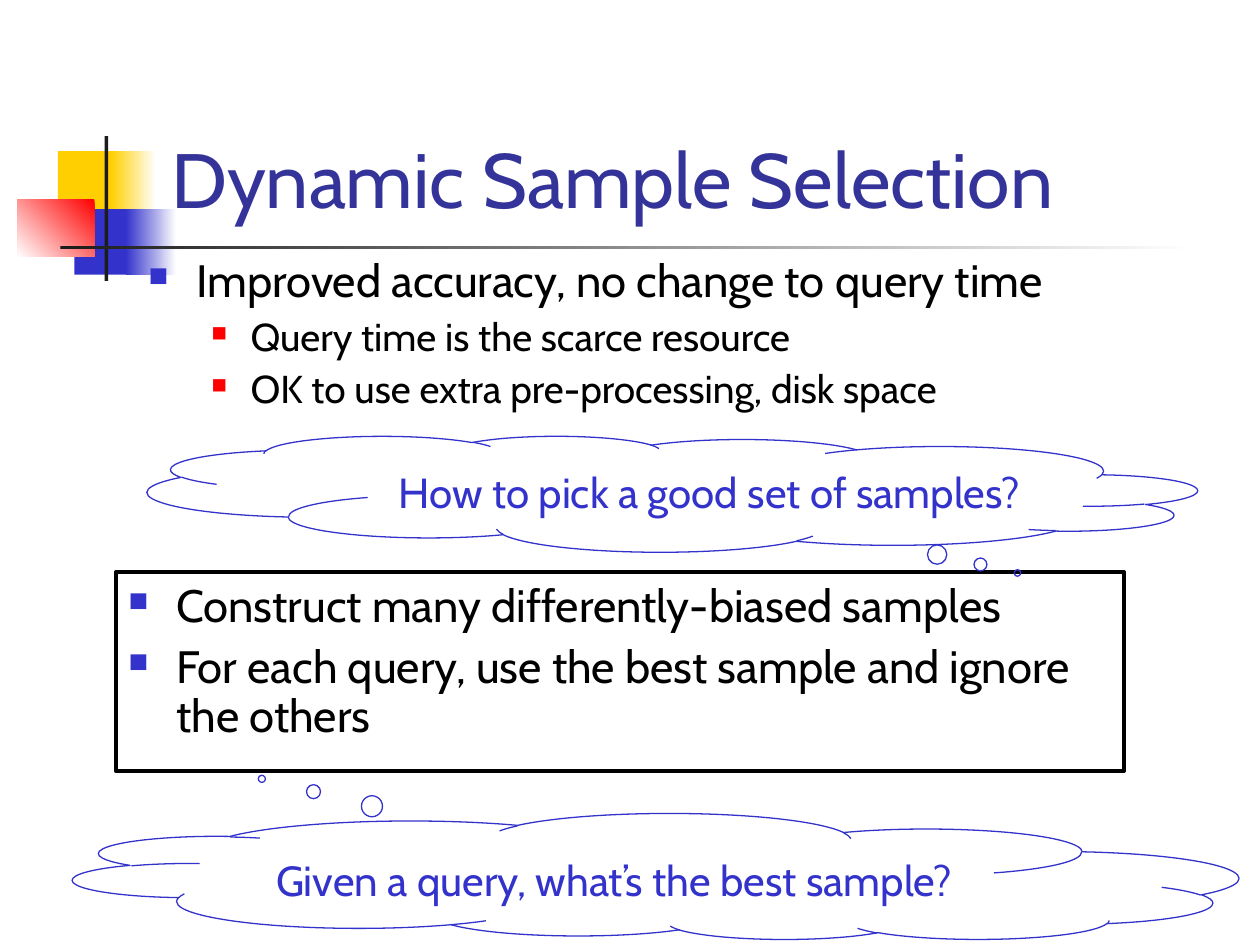
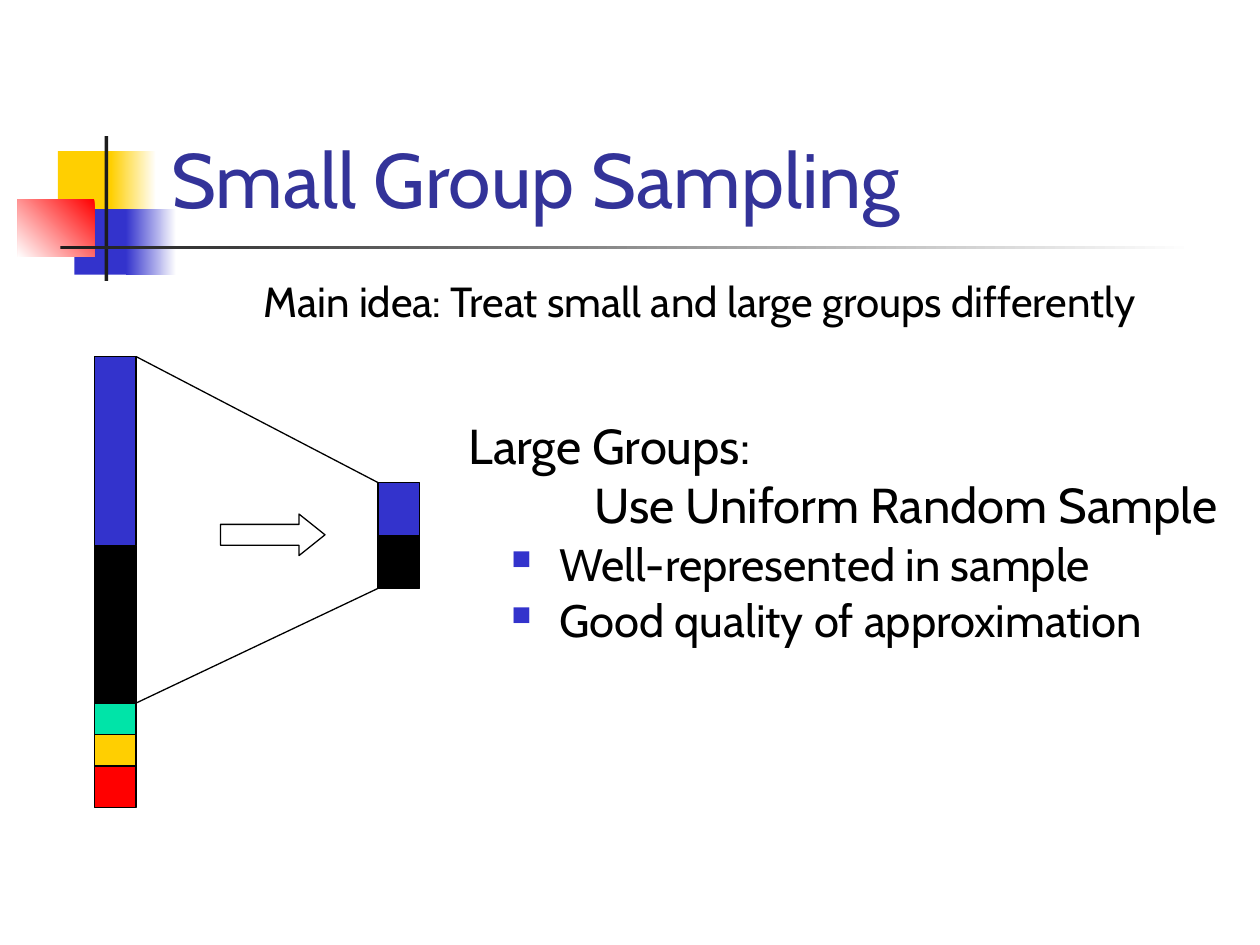
from lxml import etree
from pptx import Presentation
from pptx import util as u
from pptx.dml.color import RGBColor
from pptx.enum import shapes, text
from pptx.oxml import ns

FONT = "Cabin"
TITLE_BLUE = RGBColor(0x33, 0x33, 0x99)
BLUE = RGBColor(0x33, 0x33, 0xCC)
YELLOW = RGBColor(0xFF, 0xCF, 0x01)
RED = RGBColor(0xFF, 0x00, 0x00)
GREEN = RGBColor(0x00, 0xE4, 0xA8)
CHARCOAL = RGBColor(0x1C, 0x1C, 0x1C)
BLACK = RGBColor(0x00, 0x00, 0x00)
WHITE = RGBColor(0xFF, 0xFF, 0xFF)

# Per level: text size, left margin, hanging indent, space before, bullet colour, bullet percent
BULLET_LEVELS = [
    (25.9, 0.38, 0.38, 7, BLUE, 60),
    (22.2, 0.81, 0.31, 6, RED, 55),
]

BAR_LEFT, SAMPLE_LEFT, BAR_WIDTH = 0.75, 3, 0.33
BAR_TOP, SAMPLE_TOP = 2.83, 3.83
LARGE_GROUPS = [(BLUE, 1.5), (BLACK, 1.25)]
SMALL_GROUPS = [(GREEN, 0.25), (YELLOW, 0.25), (RED, 0.33)]
SAMPLE_GROUPS = [(BLUE, 0.42), (BLACK, 0.42)]


def inches(*values):
    """Convert numbers to lengths in inches."""
    return [u.Inches(value) for value in values]


def add_child(parent, tag, **attributes):
    """Append a drawing element with the given attributes."""
    child = etree.SubElement(parent, ns.qn(tag))
    for name, value in attributes.items():
        child.set(name, str(value))
    return child


def add_run(paragraph, words, size, color):
    """Append one formatted run to a paragraph."""
    run = paragraph.add_run()
    run.text = words
    run.font.name = FONT
    run.font.size = u.Pt(size)
    run.font.color.rgb = color


def add_box(slide, box, wrap=True, anchor=text.MSO_ANCHOR.TOP):
    """Add an empty text box and return its text frame."""
    frame = slide.shapes.add_textbox(*inches(*box)).text_frame
    frame.word_wrap = wrap
    frame.vertical_anchor = anchor
    return frame


def add_shape(slide, kind, box, fill=None, line=None, line_width=0.75):
    """Add a preset shape with an optional solid fill and outline."""
    shape = slide.shapes.add_shape(kind, *inches(*box))
    shape.shadow.inherit = False
    if fill is None:
        shape.fill.background()
    else:
        shape.fill.solid()
        shape.fill.fore_color.rgb = fill
    if line is None:
        shape.line.fill.background()
    else:
        shape.line.color.rgb = line
        shape.line.width = u.Pt(line_width)
    return shape


def add_rectangle(slide, box, **style):
    """Add a plain rectangle."""
    return add_shape(slide, shapes.MSO_SHAPE.RECTANGLE, box, **style)


def add_fading_rectangle(slide, box, color, angle=0):
    """Add a rectangle that fades from a colour to white."""
    fill = add_rectangle(slide, box).fill
    fill.gradient()
    fill.gradient_angle = angle
    for stop, stop_color in zip(fill.gradient_stops, (color, WHITE)):
        stop.color.rgb = stop_color


def add_title_band(slide, title):
    """Add the coloured squares, the crossing rules and the title."""
    add_rectangle(slide, (0.46, 1.2, 0.48, 0.52), fill=YELLOW)
    add_fading_rectangle(slide, (0.88, 1.2, 0.36, 0.52), YELLOW)
    add_rectangle(slide, (0.59, 1.66, 0.46, 0.52), fill=BLUE)
    add_fading_rectangle(slide, (1, 1.66, 0.4, 0.52), BLUE)
    add_fading_rectangle(slide, (0.14, 1.58, 0.61, 0.46), RED, angle=225)
    add_rectangle(slide, (0.83, 1.08, 0.03, 1.15), fill=CHARCOAL)
    add_fading_rectangle(slide, (0.48, 1.95, 9, 0.03), CHARCOAL)
    frame = add_box(slide, (1.26, 0.23, 8.52, 1.6), anchor=text.MSO_ANCHOR.BOTTOM)
    add_run(frame.paragraphs[0], title, 44, TITLE_BLUE)


def add_bullets(slide, box, items, line_spacing=0.9):
    """Add a bulleted list from (level, words) pairs."""
    frame = add_box(slide, box)
    for index, (level, words) in enumerate(items):
        size, margin, hang, space, color, percent = BULLET_LEVELS[level]
        paragraph = frame.add_paragraph() if index else frame.paragraphs[0]
        paragraph.level = level
        paragraph.line_spacing = line_spacing
        paragraph.space_before = u.Pt(space if index else 0)
        properties = paragraph._p.get_or_add_pPr()
        properties.set("marL", str(u.Inches(margin)))
        properties.set("indent", str(u.Inches(-hang)))
        add_child(add_child(properties, "a:buClr"), "a:srgbClr", val=color)
        add_child(properties, "a:buSzPct", val=percent * 1000)
        add_child(properties, "a:buChar", char="■")
        add_run(paragraph, words, size, BLACK)


def add_cloud(slide, box, tail, words, flip):
    """Add a flipped thought cloud whose words stay upright."""
    cloud = add_shape(slide, shapes.MSO_SHAPE.CLOUD_CALLOUT, box, line=BLUE)
    cloud.adjustments[0], cloud.adjustments[1] = tail
    cloud._element.spPr.xfrm.set(flip, "1")
    frame = cloud.text_frame
    frame.word_wrap = True
    frame.vertical_anchor = text.MSO_ANCHOR.MIDDLE
    if flip == "flipV":
        frame._txBody.bodyPr.set("rot", str(180 * 60000))
    paragraph = frame.paragraphs[0]
    paragraph.alignment = text.PP_ALIGN.CENTER
    add_run(paragraph, words, 24, BLUE)


def add_stacked_bar(slide, left, top, groups):
    """Stack outlined group blocks downwards and return the bottom edge."""
    for color, height in groups:
        add_rectangle(slide, (left, top, BAR_WIDTH, height), fill=color, line=BLACK)
        top += height
    return top


def add_line(slide, start, end):
    """Add a thin black straight line."""
    line = slide.shapes.add_connector(
        shapes.MSO_CONNECTOR.STRAIGHT, *inches(*start, *end))
    line.line.color.rgb = BLACK
    line.line.width = u.Pt(0.75)
    add_child(line._element.spPr, "a:effectLst")


def build_selection_slide(slide):
    """Build the slide on dynamic sample selection."""
    add_title_band(slide, "Dynamic Sample Selection")
    add_bullets(slide, (0.92, 4.58, 8, 1.58), [
        (0, "Construct many differently-biased samples"),
        (0, "For each query, use the best sample and ignore the others"),
    ])
    add_rectangle(slide, (0.92, 4.54, 8, 1.58), line=BLACK, line_width=2.25)
    add_cloud(slide, (1.17, 3.46, 8.33, 0.92), (-0.329, 0.682),
              "How to pick a good set of samples?", "flipH")
    add_cloud(slide, (0.58, 6.46, 9.25, 1), (-0.338, 0.778),
              "Given a query, what’s the best sample?", "flipV")
    add_bullets(slide, (1.08, 2, 8.42, 1.58), [
        (0, "Improved accuracy, no change to query time"),
        (1, "Query time is the scarce resource"),
        (1, "OK to use extra pre-processing, disk space"),
    ])


def build_group_slide(slide):
    """Build the slide on small group sampling."""
    add_title_band(slide, "Small Group Sampling")
    large_bottom = add_stacked_bar(slide, BAR_LEFT, BAR_TOP, LARGE_GROUPS)
    add_stacked_bar(slide, BAR_LEFT, large_bottom, SMALL_GROUPS)
    sample_bottom = add_stacked_bar(slide, SAMPLE_LEFT, SAMPLE_TOP, SAMPLE_GROUPS)
    arrow = add_shape(slide, shapes.MSO_SHAPE.RIGHT_ARROW,
                      (1.75, 4.08, 0.83, 0.33), line=BLACK)
    arrow.adjustments[1] = 0.626
    bar_right = BAR_LEFT + BAR_WIDTH
    add_line(slide, (bar_right, large_bottom), (SAMPLE_LEFT, sample_bottom))
    add_line(slide, (bar_right, BAR_TOP), (SAMPLE_LEFT, SAMPLE_TOP))

    heading = add_box(slide, (3.62, 3.25, 6.59, 1.04), wrap=False).paragraphs[0]
    tabs = add_child(heading._p.get_or_add_pPr(), "a:tabLst")
    add_child(tabs, "a:tab", pos=u.Inches(1), algn="l")
    add_run(heading, "Large Groups:", 28, BLACK)
    heading.add_line_break()
    add_run(heading, "\tUse Uniform Random Sample", 28, BLACK)
    add_bullets(slide, (3.96, 4.29, 5.87, 1.13), [
        (0, "Well-represented in sample"),
        (0, "Good quality of approximation"),
    ], line_spacing=0.8)

    idea = add_box(slide, (1.49, 2.14, 8.12, 0.5), wrap=False).paragraphs[0]
    idea.alignment = text.PP_ALIGN.CENTER
    add_run(idea, "Main idea: Treat small and large groups differently", 24, BLACK)


def main():
    """Build and save the presentation."""
    presentation = Presentation()
    presentation.slide_width, presentation.slide_height = inches(10, 7.5)
    blank_layout = presentation.slide_layouts[6]
    for build in (build_selection_slide, build_group_slide):
        build(presentation.slides.add_slide(blank_layout))
    presentation.save("out.pptx")


if __name__ == "__main__":
    main()
